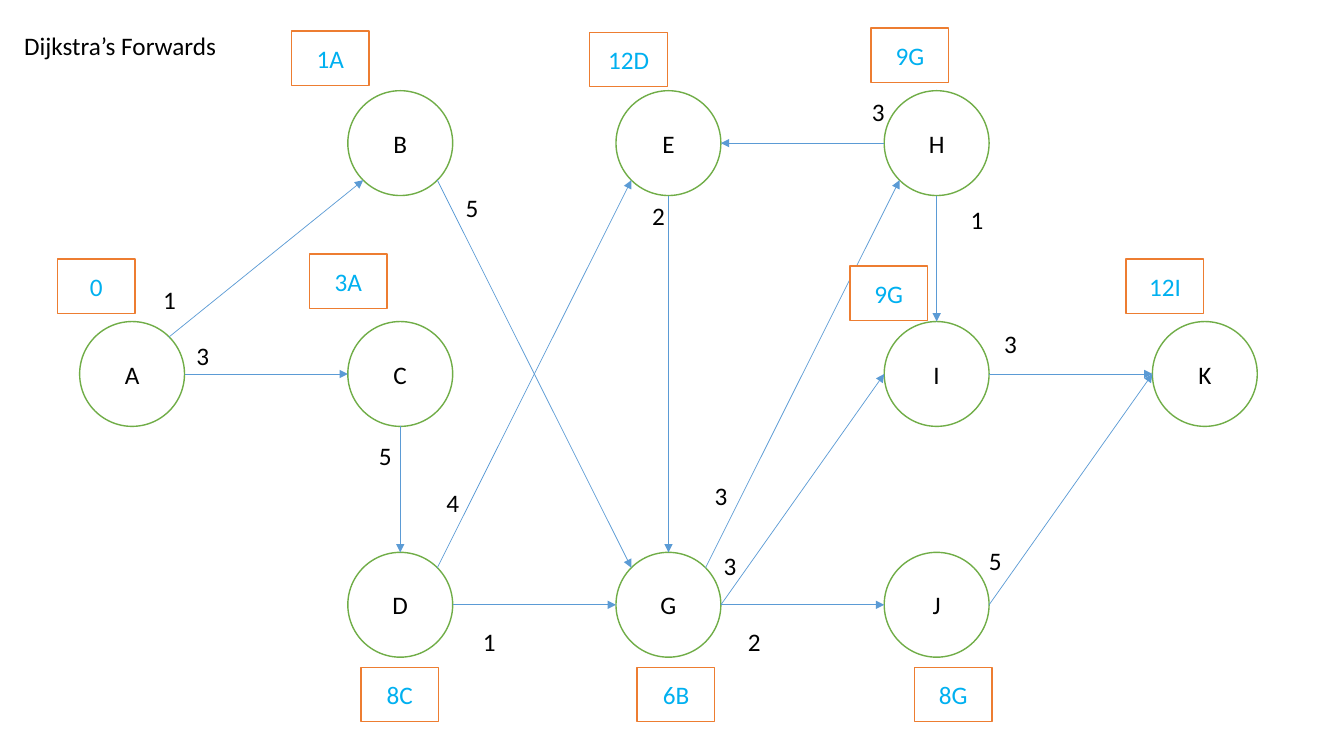
from math import cos, radians, sin

from lxml.etree import SubElement
from pptx import Presentation
from pptx.dml.color import RGBColor
from pptx.enum.shapes import MSO_CONNECTOR, MSO_SHAPE
from pptx.enum.text import MSO_ANCHOR, MSO_AUTO_SIZE, PP_ALIGN
from pptx.oxml.ns import qn
from pptx.util import Inches, Pt

BLACK = RGBColor(0x00, 0x00, 0x00)
WHITE = RGBColor(0xFF, 0xFF, 0xFF)
GREEN = RGBColor(0x70, 0xAD, 0x47)
BLUE = RGBColor(0x5B, 0x9B, 0xD5)
ORANGE = RGBColor(0xED, 0x7D, 0x31)
CYAN = RGBColor(0x00, 0xB0, 0xF0)

# Content: title with its box
TITLE = ("Dijkstra’s Forwards", 0.14, 0.25, 2.12)

# Node: column, row, distance label, label left and top
NODES = {
    "A": (0, 1, "0", 0.57, 2.57),
    "B": (1, 0, "1A", 2.89, 0.31),
    "C": (1, 1, "3A", 3.07, 2.52),
    "D": (1, 2, "8C", 3.58, 6.62),
    "E": (2, 0, "12D", 5.85, 0.32),
    "G": (2, 2, "6B", 6.32, 6.62),
    "H": (3, 0, "9G", 8.64, 0.28),
    "I": (3, 1, "9G", 8.43, 2.64),
    "J": (3, 2, "8G", 9.07, 6.62),
    "K": (4, 1, "12I", 11.17, 2.57),
}

# Edge: start node and side, end node and side, weight, weight left and top
EDGES = [
    ("A", "NE", "B", "SW", "1", 1.52, 2.77),
    ("A", "E", "C", "W", "3", 1.85, 3.33),
    ("B", "SE", "G", "NW", "5", 4.52, 1.86),
    ("E", "S", "G", "N", "2", 6.37, 1.94),
    ("D", "E", "G", "W", "1", 4.69, 6.16),
    ("D", "NE", "E", "SW", "4", 4.33, 4.79),
    ("C", "S", "D", "N", "5", 3.66, 4.32),
    ("H", "W", "E", "E", "3", 8.55, 0.91),
    ("I", "E", "K", "W", "3", 9.86, 3.21),
    ("J", "E", "K", "W", "5", 9.71, 5.36),
    ("G", "E", "J", "W", "2", 7.32, 6.16),
    ("G", "E", "I", "W", "3", 7.08, 5.41),
    ("H", "S", "I", "N", "1", 9.53, 1.98),
    ("G", "NE", "H", "SW", "3", 6.99, 4.72),
]

# Layout
LEFT, TOP = 0.79, 0.9
COLUMN_STEP, ROW_STEP = 2.66, 2.29
DIAMETER = 1.04
LABEL_WIDTH, LABEL_HEIGHT = 0.77, 0.54
TEXT_HEIGHT, WEIGHT_WIDTH = 0.4, 0.33
SIDES = ["E", "SE", "S", "SW", "W", "NW", "N", "NE"]

deck = Presentation()
deck.slide_width, deck.slide_height = Inches(13.33), Inches(7.5)
page = deck.slides.add_slide(deck.slide_layouts[6])


def add_span(frame, text, color):
    para = frame.paragraphs[0]
    span = para.add_run()
    span.text = text
    span.font.name, span.font.size = "Calibri", Pt(18)
    span.font.color.rgb = color
    return para


def add_outlined(kind, left, top, width, height, line, text, color):
    shape = page.shapes.add_shape(
        kind, Inches(left), Inches(top), Inches(width), Inches(height))
    shape.shadow.inherit = False
    shape.fill.solid()
    shape.fill.fore_color.rgb = WHITE
    shape.line.color.rgb, shape.line.width = line, Pt(1)
    shape.text_frame.vertical_anchor = MSO_ANCHOR.MIDDLE
    add_span(shape.text_frame, text, color).alignment = PP_ALIGN.CENTER


def add_text(text, left, top, width):
    box = page.shapes.add_textbox(
        Inches(left), Inches(top), Inches(width), Inches(TEXT_HEIGHT))
    box.text_frame.word_wrap = False
    box.text_frame.auto_size = MSO_AUTO_SIZE.SHAPE_TO_FIT_TEXT
    add_span(box.text_frame, text, BLACK)


def node_corner(name):
    column, row = NODES[name][:2]
    return LEFT + column * COLUMN_STEP, TOP + row * ROW_STEP


def rim_point(name, side):
    left, top = node_corner(name)
    angle = radians(45 * SIDES.index(side))
    radius = DIAMETER / 2
    return (Inches(left + radius + radius * cos(angle)),
            Inches(top + radius + radius * sin(angle)))


def add_arrow(start, end):
    arrow = page.shapes.add_connector(MSO_CONNECTOR.STRAIGHT, *start, *end)
    arrow.line.color.rgb, arrow.line.width = BLUE, Pt(0.5)
    SubElement(arrow.line._get_or_add_ln(), qn("a:tailEnd"), type="triangle")
    SubElement(arrow._element.spPr, qn("a:effectLst"))


# Node circles
for name in NODES:
    add_outlined(MSO_SHAPE.OVAL, *node_corner(name), DIAMETER, DIAMETER,
                 GREEN, name, BLACK)

# Arrows
for source, source_side, target, target_side, *_ in EDGES:
    add_arrow(rim_point(source, source_side), rim_point(target, target_side))

# Distance labels
for _, _, distance, left, top in NODES.values():
    add_outlined(MSO_SHAPE.RECTANGLE, left, top, LABEL_WIDTH, LABEL_HEIGHT,
                 ORANGE, distance, CYAN)

# Edge weights and title
for *_, weight, left, top in EDGES:
    add_text(weight, left, top, WEIGHT_WIDTH)
add_text(*TITLE)

deck.save("out.pptx")
